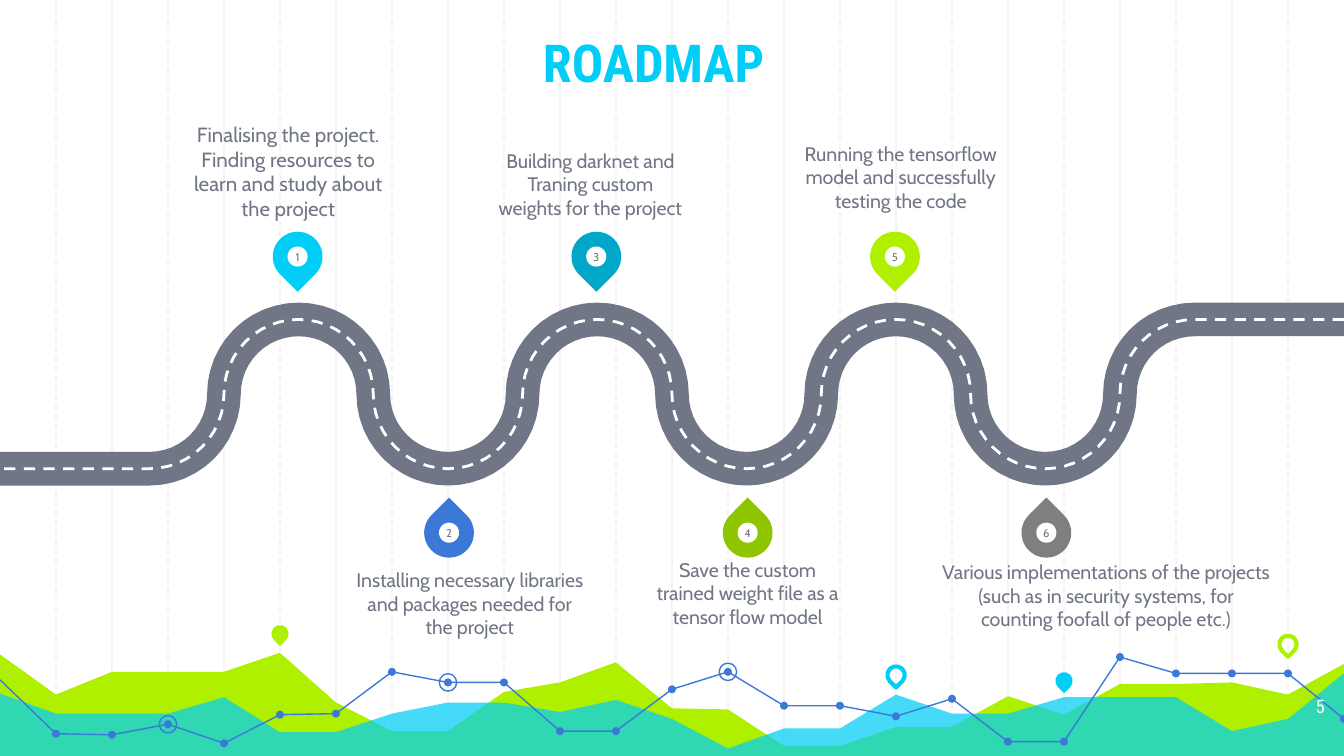
import math
from typing import NamedTuple, Optional

from lxml import etree
from pptx import Presentation, util as u
from pptx.dml.color import RGBColor
from pptx.enum import dml, shapes, text
from pptx.oxml import ns

# All lengths are in centimetres
WIDTH, HEIGHT = 25.4, 14.29
COLUMN = WIDTH / 24
BOTTOM = 14.35
RADIUS = WIDTH / 18
ROAD_MIDDLE = 7.45
CYAN, LIME, BLUE, GREY, WHITE = "00CEF6", "AFF000", "3C78D8", "707685", "FFFFFF"
PIN, MARKER, DOT, SMALL = 0.94, 0.38, 0.15, 0.33

# Heights of the skyline, one per grid column
GREEN_HILLS = [12.37, 13.13, 12.7, 12.7, 12.7, 12.34, 13.28, 13.82, 13.82, 13.08, 12.9, 12.52, 13.39,
               13.41, 14.1, 14.1, 13.74, 13.74, 13.16, 13.51, 12.93, 12.93, 12.9, 13.13, 12.55]
CYAN_HILLS = [13.11, 13.49, 13.49, 13.49, 13.18, 13.84, 13.84, 13.49, 13.28, 13.28, 13.46, 13.23, 13.59,
              14.15, 13.77, 13.77, 13.13, 13.49, 13.49, 13.18, 13.18, 13.18, 13.82, 13.59, 12.73]
TREND = [12.85, 13.87, 13.89, 13.69, 14.05, 13.51, 13.49, 12.7, 12.9, 12.9, 13.82, 13.82, 13.03,
         12.7, 13.34, 13.34, 13.54, 13.21, 14.02, 14.02, 12.42, 12.73, 12.73, 12.73, 13.59]


class SmallPin(NamedTuple):
    column: int
    y: float
    color: str
    hollow: bool


class Milestone(NamedTuple):
    number: int
    color: str
    box: tuple
    label: str
    size: float = 10.5


SMALL_PINS = [
    SmallPin(5, 11.98, LIME, False),
    SmallPin(16, 12.76, CYAN, True),
    SmallPin(19, 12.87, CYAN, False),
    SmallPin(23, 12.18, LIME, True),
]

MILESTONES = [
    Milestone(1, CYAN, (3.48, 2.16, 3.94, 2.01),
              "Finalising the project. Finding resources to learn and study about the project", 11),
    Milestone(2, BLUE, (6.71, 10.74, 4.34, 1.47),
              "Installing necessary libraries and packages needed for the project"),
    Milestone(3, "00A7C8", (9.37, 2.67, 3.58, 1.47),
              "Building darknet and Traning custom weights for the project"),
    Milestone(4, "8EC400", (12.34, 10.54, 3.58, 1.47),
              "Save the custom trained weight file as a tensor flow model"),
    Milestone(5, LIME, (14.94, 2.54, 4.17, 1.47),
              "Running the tensorflow model and successfully testing the code"),
    Milestone(6, "7F7F7F", (17.78, 10.59, 6.25, 1.47),
              "Various implementations of the projects (such as in security systems, "
              "for counting foofall of people etc.)"),
]


def rgb(color: str) -> RGBColor:
    return RGBColor.from_string(color)


def style_line(line, color: str, width: float, dashed: bool = False) -> None:
    line.color.rgb = rgb(color)
    line.width = u.Pt(width)
    if dashed:
        line.dash_style = dml.MSO_LINE.DASH


def style_shape(shape, fill: Optional[str] = None, line: Optional[str] = None,
                width: float = 0.75, dashed: bool = False) -> None:
    shape.shadow.inherit = False
    if fill:
        shape.fill.solid()
        shape.fill.fore_color.rgb = rgb(fill)
    else:
        shape.fill.background()
    if line:
        style_line(shape.line, line, width, dashed)
    else:
        shape.line.fill.background()


def add_centred(slide, kind, x: float, y: float, size: float, **style):
    shape = slide.shapes.add_shape(kind, u.Cm(x - size / 2), u.Cm(y - size / 2), u.Cm(size), u.Cm(size))
    style_shape(shape, **style)
    return shape


def add_circle(slide, x: float, y: float, size: float, **style):
    return add_centred(slide, shapes.MSO_SHAPE.OVAL, x, y, size, **style)


def add_pin(slide, x: float, y: float, size: float, rotation: int = 135, **style) -> None:
    pin = add_centred(slide, shapes.MSO_SHAPE.TEAR, x, y, size, **style)
    pin.adjustments[0] = 1
    pin.rotation = rotation


def add_outline(slide, points: list, closed: bool = False, **style):
    start, *rest = [(u.Cm(x), u.Cm(y)) for x, y in points]
    builder = slide.shapes.build_freeform(*start, scale=1.0)
    builder.add_line_segments(rest, close=closed)
    shape = builder.convert_to_shape()
    style_shape(shape, **style)
    return shape


def write(shape, words: str, size: float, color: str, font: str = "Cabin", bold: bool = False,
          align=text.PP_ALIGN.CENTER, anchor=text.MSO_ANCHOR.MIDDLE, inset: float = 0) -> None:
    frame = shape.text_frame
    frame.word_wrap = True
    frame.auto_size = text.MSO_AUTO_SIZE.NONE
    frame.vertical_anchor = anchor
    frame.margin_left = frame.margin_right = frame.margin_top = frame.margin_bottom = u.Cm(inset)
    paragraph = frame.paragraphs[0]
    paragraph.alignment = align
    run = paragraph.add_run()
    run.text = words
    run.font.size, run.font.name, run.font.bold = u.Pt(size), font, bold
    run.font.color.rgb = rgb(color)


def add_grid(slide) -> None:
    for column in range(1, 24):
        x = u.Cm(column * COLUMN)
        line = slide.shapes.add_connector(shapes.MSO_CONNECTOR.STRAIGHT, x, 0, x, u.Cm(BOTTOM))
        style_line(line.line, "F3F3F3", 0.75, dashed=column % 2 == 1)
        etree.SubElement(line.element.spPr, ns.qn("a:effectLst"))


def on_columns(heights: list) -> list:
    return [(column * COLUMN, y) for column, y in enumerate(heights)]


def add_hills(slide, heights: list, color: str):
    points = on_columns(heights) + [(WIDTH, BOTTOM), (0, BOTTOM)]
    return add_outline(slide, points, closed=True, fill=color)


def road_points(steps: int = 24) -> list:
    """Half circles that alternate below and above the middle, with straight ends."""
    points = [(0, ROAD_MIDDLE + RADIUS)]
    for bend in range(1, 9):
        side = 1 if bend % 2 else -1
        first = steps // 2 if bend == 1 else 0
        last = steps // 2 if bend == 8 else steps
        for step in range(first, last + 1):
            angle = math.pi * step / steps
            points.append((2 * RADIUS * bend - RADIUS * math.cos(angle),
                           ROAD_MIDDLE + side * RADIUS * math.sin(angle)))
    points.append((WIDTH, ROAD_MIDDLE - RADIUS))
    return points[::-1]


def add_milestone(slide, milestone: Milestone) -> None:
    above = milestone.number % 2 == 1
    x = 2 * RADIUS * (milestone.number + 1) + (-0.02 if above else 0.02)
    y = 4.85 if above else 10.07
    add_pin(slide, x, y, PIN, 135 if above else 315, fill=milestone.color)
    write(add_circle(slide, x, y, MARKER, fill=WHITE), str(milestone.number), 6, GREY)
    label = slide.shapes.add_textbox(*map(u.Cm, milestone.box))
    anchor = text.MSO_ANCHOR.BOTTOM if above else text.MSO_ANCHOR.TOP
    write(label, milestone.label, milestone.size, GREY, anchor=anchor)


def main() -> None:
    presentation = Presentation()
    presentation.slide_width, presentation.slide_height = u.Cm(WIDTH), u.Cm(HEIGHT)
    slide = presentation.slides.add_slide(presentation.slide_layouts[5])

    # Background grid and skyline
    add_grid(slide)
    add_hills(slide, GREEN_HILLS, LIME)
    front = add_hills(slide, CYAN_HILLS, CYAN)
    color = front.element.spPr.find(".//" + ns.qn("a:srgbClr"))
    etree.SubElement(color, ns.qn("a:alpha"), val="73000")
    for pin in SMALL_PINS:
        style = {"line": pin.color, "width": 2.25} if pin.hollow else {"fill": pin.color}
        add_pin(slide, pin.column * COLUMN, pin.y, SMALL, **style)

    # Trend line with dots and rings
    trend = on_columns(TREND)
    add_outline(slide, trend, line=BLUE)
    for x, y in trend[1:]:
        add_circle(slide, x, y, DOT, fill=BLUE)
    for column in (3, 8, 13):
        add_circle(slide, *trend[column], SMALL, line=BLUE)

    # Title, brought in front of the grid, and slide number
    title = slide.shapes.title
    title.left, title.top, title.width, title.height = map(u.Cm, (2.64, 0.03, 19.43, 1.98))
    write(title, "ROADMAP", 28, CYAN, "Roboto Condensed", True, anchor=text.MSO_ANCHOR.BOTTOM, inset=0.25)
    title.element.getparent().append(title.element)
    number = slide.shapes.add_textbox(*map(u.Cm, (23.77, 12.88, 1.52, 0.89)))
    write(number, "5", 10, WHITE, "Roboto Condensed", align=text.PP_ALIGN.RIGHT,
          anchor=text.MSO_ANCHOR.TOP, inset=0.25)

    # Road and milestones
    road = road_points()
    add_outline(slide, road, line=GREY, width=18)
    add_outline(slide, road, line=WHITE, width=1.5, dashed=True)
    for milestone in MILESTONES:
        add_milestone(slide, milestone)

    presentation.save("out.pptx")


if __name__ == "__main__":
    main()
